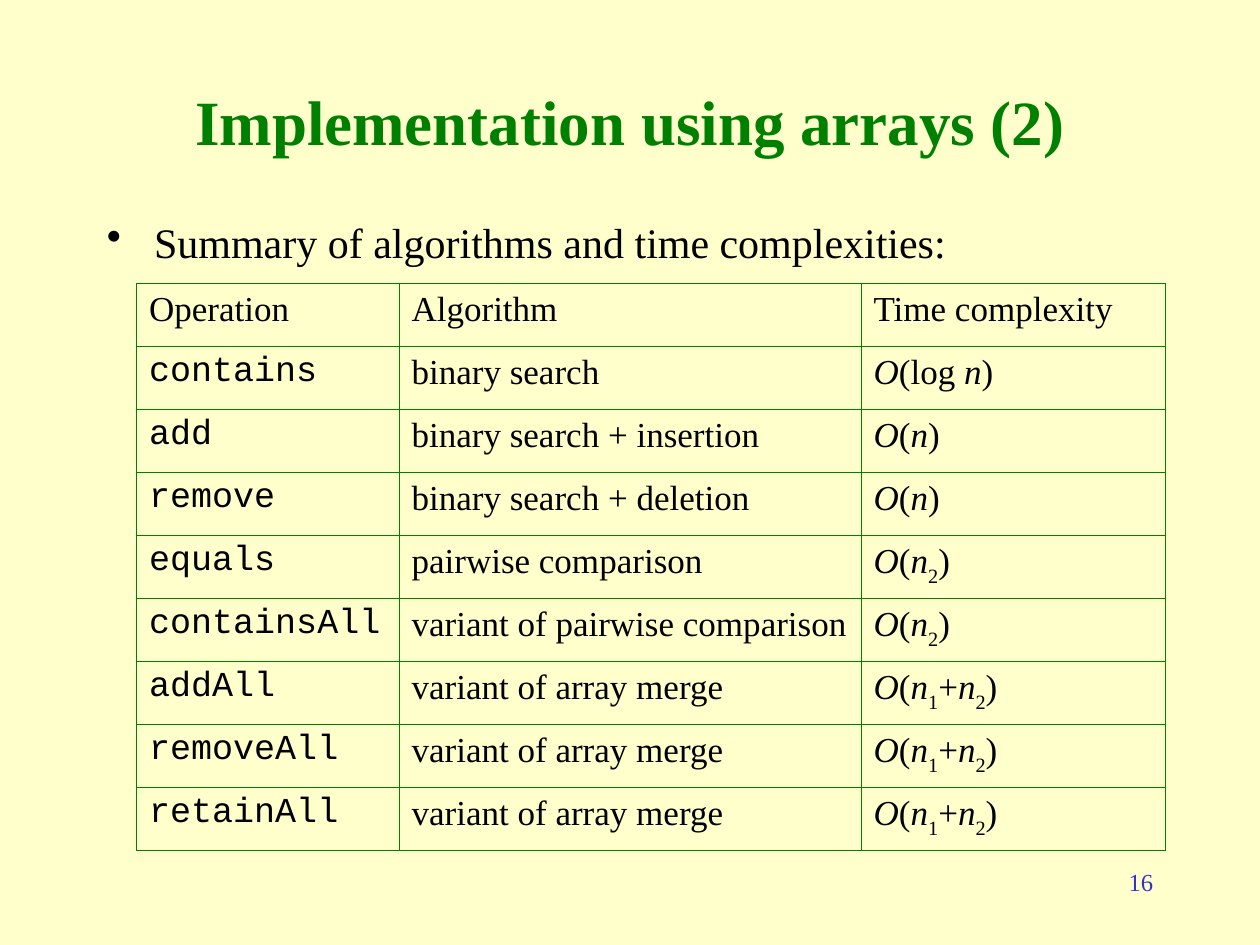
from lxml.etree import SubElement
from pptx import Presentation
from pptx.dml.color import RGBColor
from pptx.enum.text import MSO_ANCHOR, PP_ALIGN
from pptx.oxml.ns import qn
from pptx.util import Pt

PX = 7620  # EMU in one px, 120 px to the inch
COLORS = {"page": "FFFFCC", "green": "008000", "text": "000000", "number": "3333CC"}
SERIF, MONO = "Times New Roman", "Courier New"
THICK, THIN = 1.08, 0.45

COLUMN_WIDTHS = [250, 440, 290]
HEADINGS = ["Operation", "Algorithm", "Time complexity"]
# Complexities are split into spans by "|"
OPERATIONS = [
    ("contains", "binary search", "O|(log |n|)"),
    ("add", "binary search + insertion", "O|(|n|)"),
    ("remove", "binary search + deletion", "O|(|n|)"),
    ("equals", "pairwise comparison", "O|(|n|2|)"),
    ("containsAll", "variant of pairwise comparison", "O|(|n|2|)"),
    ("addAll", "variant of array merge", "O|(|n|1|+|n|2|)"),
    ("removeAll", "variant of array merge", "O|(|n|1|+|n|2|)"),
    ("retainAll", "variant of array merge", "O|(|n|1|+|n|2|)"),
]


def px(*lengths):
    return [length * PX for length in lengths]


def rgb(name):
    return RGBColor.from_string(COLORS[name])


def add_span(para, text, color="text", **formats):
    span = para.add_run()
    span.text = text
    for name, value in {"name": SERIF, **formats}.items():
        setattr(span.font, name, value)
    span.font.color.rgb = rgb(color)
    return span


def add_text(page, box, text, align, anchor=MSO_ANCHOR.TOP, **formats):
    frame = page.shapes.add_textbox(*px(*box)).text_frame
    frame.word_wrap = True
    frame.vertical_anchor = anchor
    para = frame.paragraphs[0]
    para.alignment = align
    add_span(para, text, **formats)
    return para


def add_bullet(para, indent):
    properties = para._p.get_or_add_pPr()
    properties.set("marL", str(indent * PX))
    properties.set("indent", str(-indent * PX))
    color = SubElement(properties, qn("a:buClr"))
    SubElement(color, qn("a:srgbClr"), val=COLORS["text"])
    SubElement(properties, qn("a:buChar"), char="•")


def set_borders(cell, widths):
    """Draw the left, right, top and bottom borders; fill goes after them."""
    properties = cell._tc.get_or_add_tcPr()
    for side, width in zip("LRTB", widths):
        line = SubElement(properties, qn(f"a:ln{side}"), w=str(Pt(width)))
        fill = SubElement(line, qn("a:solidFill"))
        SubElement(fill, qn("a:srgbClr"), val=COLORS["green"])
    cell.fill.background()


def fill_cell(cell, text, font):
    para = cell.text_frame.paragraphs[0]
    for part in text.split("|"):
        span = add_span(para, part, name=font, size=Pt(20), italic=part in ("O", "n"))
        if part in ("1", "2"):
            span.font._element.set("baseline", "-30000")


def add_complexity_table(page, box):
    rows = [HEADINGS, *OPERATIONS]
    last_row, last_column = len(rows) - 1, len(HEADINGS) - 1
    table = page.shapes.add_table(len(rows), len(HEADINGS), *px(*box)).table
    table.first_row = table.horz_banding = False
    for column, width in zip(table.columns, COLUMN_WIDTHS):
        column.width = width * PX
    for r, texts in enumerate(rows):
        table.rows[r].height = box[3] * PX // len(rows)
        for c, text in enumerate(texts):
            cell = table.cell(r, c)
            for side, inset in zip(("left", "right", "top", "bottom"), px(12, 12, 6, 6)):
                setattr(cell, f"margin_{side}", inset)
            fill_cell(cell, text, MONO if r > 0 and c == 0 else SERIF)
            # The outline and the rule under the headings are thicker
            thick = (c == 0, c == last_column, r <= 1, r in (0, last_row))
            set_borders(cell, [THICK if edge else THIN for edge in thick])


def build_page(deck):
    page = deck.slides.add_slide(deck.slide_layouts[6])
    page.background.fill.solid()
    page.background.fill.fore_color.rgb = rgb("page")

    # Page number
    add_text(page, (860, 820, 250, 60), "16", PP_ALIGN.RIGHT, size=Pt(14), color="number")
    # Title
    add_text(page, (90, 70, 1020, 90), "Implementation using arrays (2)", PP_ALIGN.CENTER,
             MSO_ANCHOR.MIDDLE, size=Pt(36), bold=True, color="green")
    # Summary line
    summary = add_text(page, (90, 200, 1020, 610),
                       "Summary of algorithms and time complexities:", PP_ALIGN.LEFT, size=Pt(24))
    add_bullet(summary, 45)
    # Operations and their costs
    add_complexity_table(page, (130, 270, sum(COLUMN_WIDTHS), 540))


def main():
    deck = Presentation()
    deck.slide_width, deck.slide_height = px(1200, 900)
    build_page(deck)
    deck.save("out.pptx")


if __name__ == "__main__":
    main()
